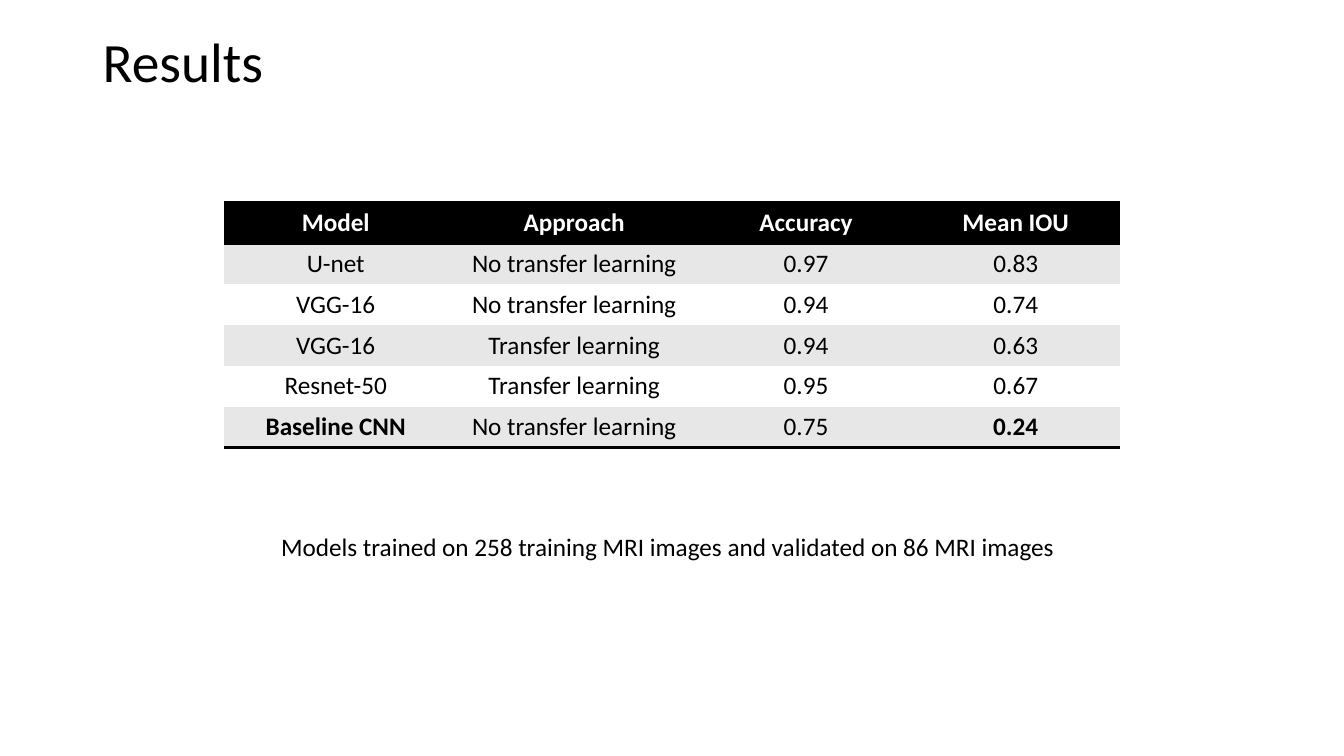
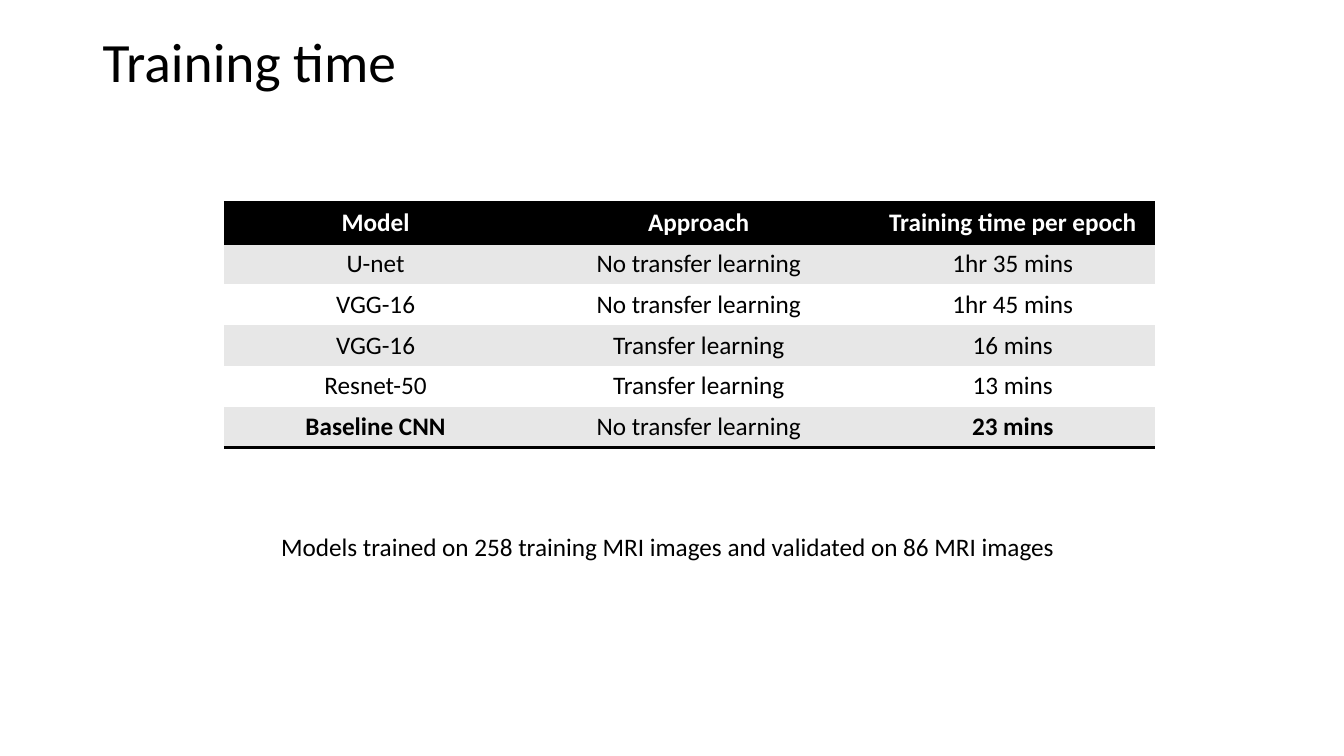
from lxml import etree
from pptx import Presentation
from pptx import util as u
from pptx.dml import color
from pptx.enum import text
from pptx.oxml import ns

FONT = "Calibri"
BLACK, WHITE, BAND = "000000", "FFFFFF", "E7E7E7"
TITLE_SIZE, BODY_SIZE = 39.6, 18
RULE_WIDTH = 2
ROW_HEIGHT = 0.405
TABLE_LEFT, TABLE_TOP = 2.22, 2.01

DATA_NOTE = "Models trained on 258 training MRI images and validated on 86 MRI images"
MODELS = [
    ("U-net", "No transfer learning"),
    ("VGG-16", "No transfer learning"),
    ("VGG-16", "Transfer learning"),
    ("Resnet-50", "Transfer learning"),
    ("Baseline CNN", "No transfer learning"),
]
RESULTS = [("0.97", "0.83"), ("0.94", "0.74"), ("0.94", "0.63"),
           ("0.95", "0.67"), ("0.75", "0.24")]
EPOCH_TIMES = [("1hr 35 mins",), ("1hr 45 mins",), ("16 mins",),
               ("13 mins",), ("23 mins",)]


def rgb(value):
    """Turn a hex string into a colour."""
    return color.RGBColor.from_string(value)


def set_borders(cell, ruled):
    """Rule the sides named in ruled (T, B) and clear the other sides."""
    properties = cell._tc.get_or_add_tcPr()
    for position, side in enumerate("LRTB"):
        border = etree.Element(ns.qn(f"a:ln{side}"))
        if side in ruled:
            border.set("w", str(u.Pt(RULE_WIDTH)))
            fill = etree.SubElement(border, ns.qn("a:solidFill"))
            etree.SubElement(fill, ns.qn("a:srgbClr"), val=BLACK)
        else:
            etree.SubElement(border, ns.qn("a:noFill"))
        properties.insert(position, border)


class Deck:
    """Holds the presentation, its style and the current slide."""

    def __init__(self):
        """Start an empty widescreen presentation."""
        self.presentation = Presentation()
        self.presentation.slide_width = u.Inches(13.33)
        self.presentation.slide_height = u.Inches(7.5)
        self.slide = None

    def add_slide(self, title):
        """Add a blank slide with its title."""
        self.slide = self.presentation.slides.add_slide(
            self.presentation.slide_layouts[6])
        heading = self.add_text(title, 0.92, 0.4, 11.5, 0.48, TITLE_SIZE)
        heading.vertical_anchor = text.MSO_ANCHOR.MIDDLE
        heading.paragraphs[0].line_spacing = 0.9

    def style_text(self, frame, size, hue=BLACK, bold=False):
        """Format every run in a text frame."""
        for paragraph in frame.paragraphs:
            for run in paragraph.runs:
                run.font.name = FONT
                run.font.size = u.Pt(size)
                run.font.bold = bold
                run.font.color.rgb = rgb(hue)

    def add_text(self, words, left, top, width, height, size, wrap=True):
        """Add a text box and return its text frame."""
        box = self.slide.shapes.add_textbox(
            u.Inches(left), u.Inches(top), u.Inches(width), u.Inches(height))
        frame = box.text_frame
        frame.word_wrap = wrap
        frame.text = words
        self.style_text(frame, size)
        return frame

    def add_note(self, words):
        """Add the unwrapped line below the table."""
        frame = self.add_text(words, 2.69, 5.22, 7.96, 0.4, BODY_SIZE, wrap=False)
        frame.auto_size = text.MSO_AUTO_SIZE.SHAPE_TO_FIT_TEXT

    def add_table(self, header, rows, widths):
        """Add a banded table whose last row has bold outer cells."""
        lines = [header, *rows]
        last_row, last_column = len(rows), len(header) - 1
        table = self.slide.shapes.add_table(
            len(lines), len(header), u.Inches(TABLE_LEFT), u.Inches(TABLE_TOP),
            u.Inches(sum(widths)), u.Inches(ROW_HEIGHT * len(lines))).table
        table.horz_banding = False
        for column, width in zip(table.columns, widths):
            column.width = u.Inches(width)
        for r, line in enumerate(lines):
            table.rows[r].height = u.Inches(ROW_HEIGHT)
            is_header = r == 0
            background = BLACK if is_header else BAND if r % 2 else WHITE
            ruled = "TB" if is_header else "B" if r == last_row else ""
            if r == 1:
                ruled = "T"
            for c, words in enumerate(line):
                cell = table.cell(r, c)
                cell.text_frame.text = words
                cell.text_frame.paragraphs[0].alignment = text.PP_ALIGN.CENTER
                bold = is_header or (r == last_row and c in (0, last_column))
                self.style_text(cell.text_frame, BODY_SIZE,
                                WHITE if is_header else BLACK, bold)
                cell.fill.solid()
                cell.fill.fore_color.rgb = rgb(background)
                set_borders(cell, ruled)

    def add_model_slide(self, title, measures, values, widths):
        """Add a slide that compares the models by the given measures."""
        self.add_slide(title)
        rows = [model + value for model, value in zip(MODELS, values)]
        self.add_table(("Model", "Approach") + measures, rows, widths)
        self.add_note(DATA_NOTE)


deck = Deck()
deck.add_model_slide("Results", ("Accuracy", "Mean IOU"), RESULTS,
                     (2.22, 2.51, 2.09, 2.07))
deck.add_model_slide("Training time", ("Training time per epoch",), EPOCH_TIMES,
                     (3.01, 3.4, 2.83))
deck.presentation.save("out.pptx")
